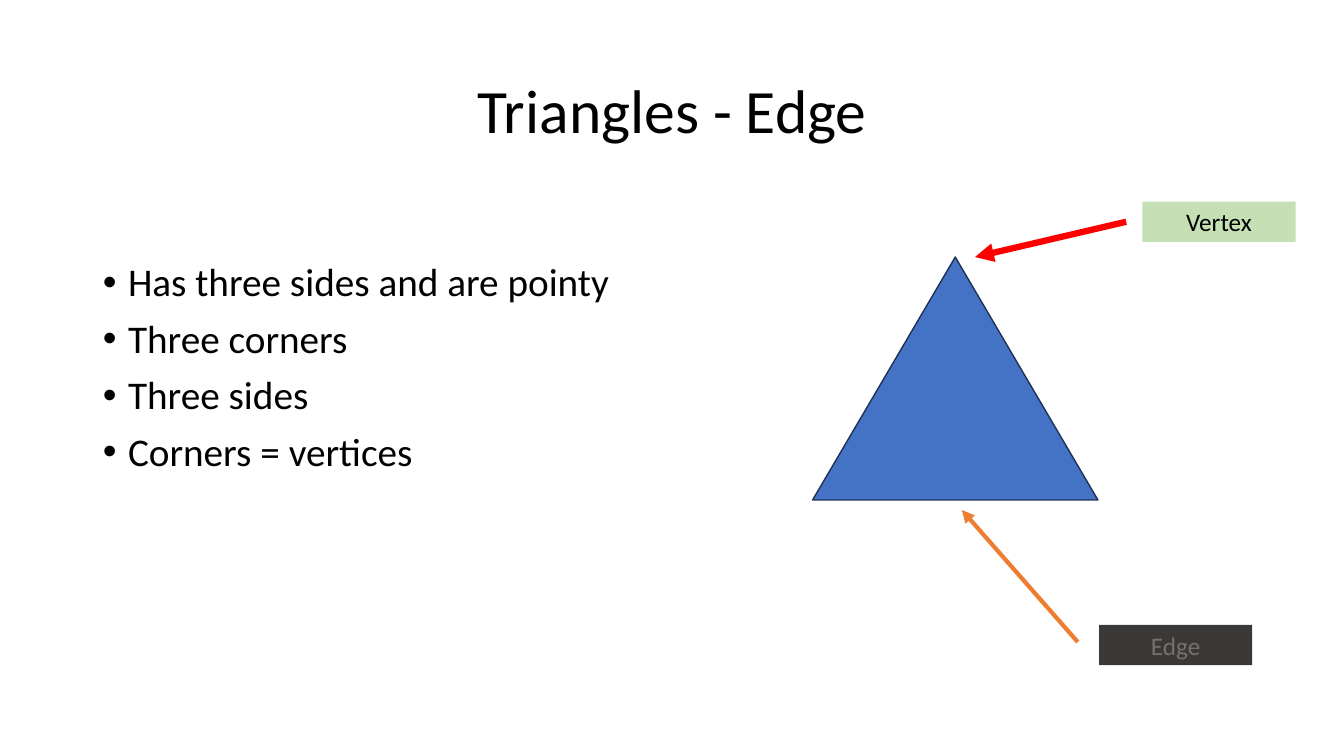
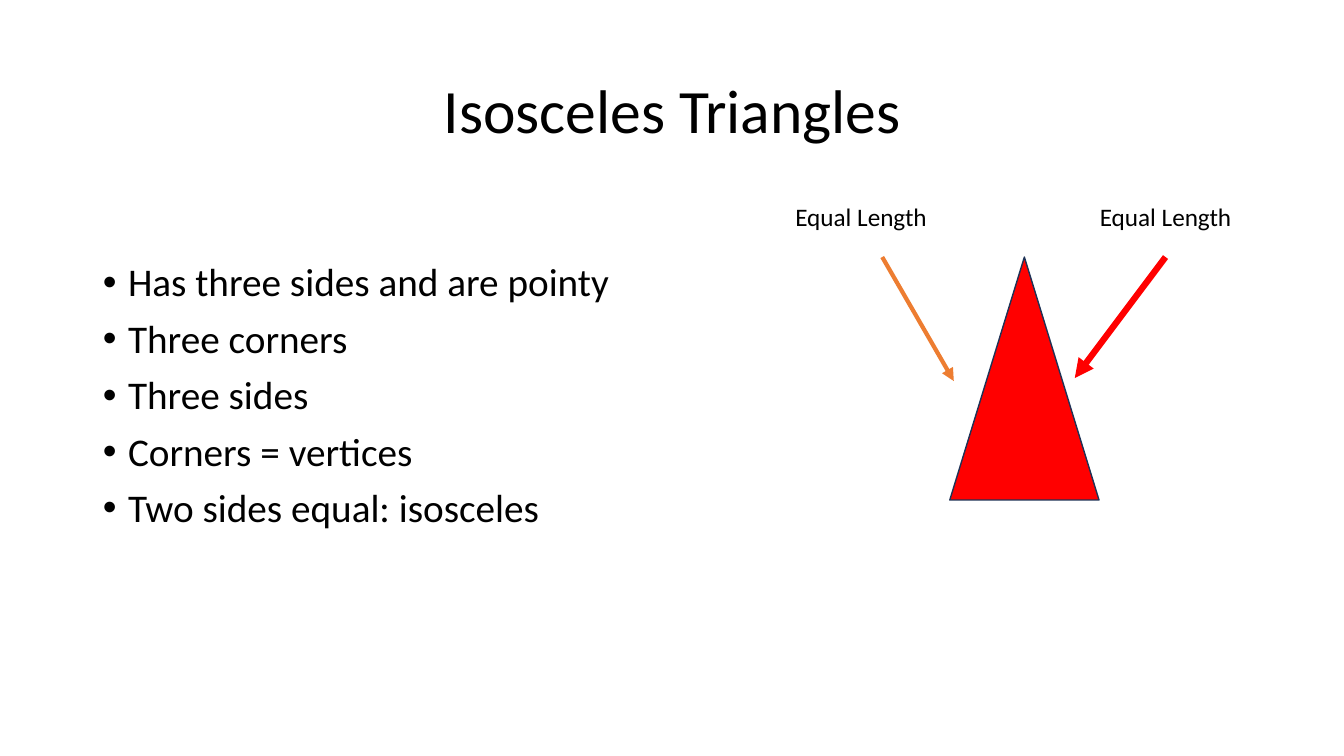
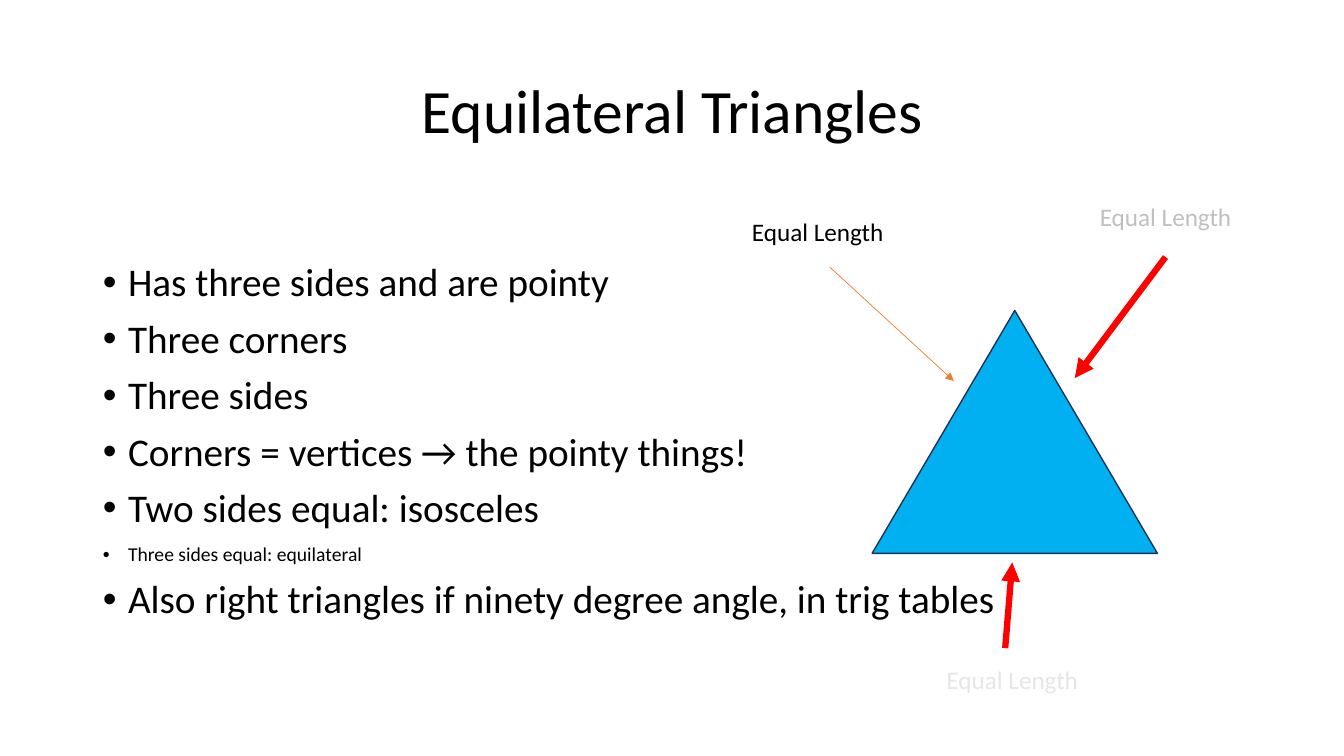
from collections import namedtuple
from dataclasses import dataclass

from lxml.etree import SubElement
from pptx import Presentation
from pptx.dml.color import RGBColor
from pptx.enum.shapes import MSO_CONNECTOR as Connector, MSO_SHAPE as Preset
from pptx.enum.text import MSO_ANCHOR as Anchor, MSO_AUTO_SIZE as AutoSize, PP_ALIGN as Align
from pptx.oxml.ns import qn
from pptx.util import Emu, Pt

PX = 9144  # EMU; 100 px make an inch

Box = namedtuple("Box", "left top width height")
Bullet = namedtuple("Bullet", "text size", defaults=[28])


@dataclass(frozen=True)
class Theme:
    font: str = "Calibri"
    black: str = "000000"
    red: str = "FF0000"
    orange: str = "ED7D31"
    blue: str = "4472C4"
    sky: str = "00B0F0"
    outline: str = "1E3256"
    green: str = "C5E0B4"
    charcoal: str = "3B3838"
    grey: str = "767171"
    silver: str = "C0C0C0"
    pale: str = "E7E6E6"
    title_size: int = 44
    label_size: int = 18
    small_size: int = 14


THEME = Theme()
SLIDE = Box(0, 0, 1333, 750)
TITLE = Box(92, 40, 1150, 145)
BODY = Box(92, 200, 1150, 476)
DIAGRAM = Box(735, 195, 550, 519)
LABEL_WIDTH, LABEL_HEIGHT = 152, 40
TRIANGLE_HEIGHT = 241
LIST_FORMAT = {"line_spacing": 0.9, "space_before": Pt(10), "space_after": Pt(0)}


@dataclass(frozen=True)
class Triangle:
    left: int
    top: int
    width: int
    fill: str

    def draw(self, page, box):
        shape = page.shapes.add_shape(
            Preset.ISOSCELES_TRIANGLE,
            *px(box.left + self.left, box.top + self.top, self.width, TRIANGLE_HEIGHT))
        shape.shadow.inherit = False
        paint(shape.fill, self.fill)
        paint(shape.line.fill, THEME.outline)
        shape.line.width = Pt(1)


@dataclass(frozen=True)
class Arrow:
    start: tuple
    end: tuple
    color: str = THEME.red
    weight: float = 4.5

    def draw(self, page, box):
        ends = [edge + offset for point in (self.start, self.end)
                for edge, offset in zip((box.left, box.top), point)]
        arrow = page.shapes.add_connector(Connector.STRAIGHT, *px(*ends))
        paint(arrow.line.fill, self.color)
        arrow.line.width = Pt(self.weight)
        properties = arrow._element.spPr
        SubElement(properties.find(qn("a:ln")), qn("a:tailEnd"), type="triangle")
        SubElement(properties, qn("a:effectLst"))


@dataclass(frozen=True)
class Label:
    text: str
    left: int
    top: int
    color: str = THEME.black
    fill: str = ""

    def draw(self, page, box):
        label = page.shapes.add_textbox(
            *px(box.left + self.left, box.top + self.top, LABEL_WIDTH, LABEL_HEIGHT))
        if self.fill:
            paint(label.fill, self.fill)
        frame = label.text_frame
        apply(frame, {"word_wrap": True, "auto_size": AutoSize.SHAPE_TO_FIT_TEXT,
                      "margin_left": 0, "margin_right": 0})
        write(frame.paragraphs[0], self.text, THEME.label_size, self.color,
              {"alignment": Align.CENTER})


def px(*lengths):
    return [Emu(length * PX) for length in lengths]


def apply(target, values):
    for name, value in values.items():
        setattr(target, name, value)


def paint(fill, color):
    fill.solid()
    fill.fore_color.rgb = RGBColor.from_string(color)


def write(para, text, size, color, para_format):
    apply(para, para_format)
    span = para.add_run()
    span.text = text
    apply(span.font, {"name": THEME.font, "size": Pt(size)})
    span.font.color.rgb = RGBColor.from_string(color)


def place(shape, box):
    apply(shape, dict(zip(Box._fields, px(*box))))


def fill_title(title, box, text):
    place(title, box)
    apply(title.text_frame, {"vertical_anchor": Anchor.MIDDLE, "auto_size": AutoSize.NONE})
    write(title.text_frame.paragraphs[0], text, THEME.title_size, THEME.black,
          {"alignment": Align.CENTER, "line_spacing": 0.9})


def fill_list(body, box, bullets):
    """Write the bullets one line below the top of the box."""
    place(body, box)
    frame = body.text_frame
    apply(frame, {"auto_size": AutoSize.NONE, "margin_top": Emu(61 * PX)})
    for index, bullet in enumerate(bullets):
        para = frame.add_paragraph() if index else frame.paragraphs[0]
        write(para, bullet.text, bullet.size, THEME.black, LIST_FORMAT)
        indents = para._p.get_or_add_pPr()
        indents.set("marL", str(25 * PX))
        indents.set("indent", str(-25 * PX))


def draw_diagram(page, box, parts):
    for part in parts:
        part.draw(page, box)


def add_lesson(deck, title, bullets, parts):
    page = deck.slides.add_slide(deck.slide_layouts[1])
    fill_title(page.shapes.title, TITLE, title)
    fill_list(page.placeholders[1], BODY, bullets)
    draw_diagram(page, DIAGRAM, parts)


BASICS = [Bullet("Has three sides and are pointy"), Bullet("Three corners"),
          Bullet("Three sides")]
CORNERS = Bullet("Corners = vertices")
ISOSCELES = Bullet("Two sides equal: isosceles")
EQUAL = "Equal Length"
RIGHT_ARROW = Arrow((421, 60), (331, 180))
LEFT_TARGET = (211, 183)

LESSONS = [
    ("Triangles - Edge", [*BASICS, CORNERS], [
        Triangle(71, 60, 283, THEME.blue),
        Arrow((334, 442), (219, 311), THEME.orange, 3),
        Label("Edge", 355, 425, THEME.grey, THEME.charcoal),
        Arrow((382, 25), (232, 60)),
        Label("Vertex", 398, 5, fill=THEME.green),
    ]),
    ("Isosceles Triangles", [*BASICS, CORNERS, ISOSCELES], [
        Triangle(207, 60, 148, THEME.red),
        RIGHT_ARROW,
        Label(EQUAL, 345, 0),
        Arrow((140, 60), LEFT_TARGET, THEME.orange, 3),
        Label(EQUAL, 43, 0),
    ]),
    ("Equilateral Triangles", [
        *BASICS,
        Bullet("Corners = vertices → the pointy things!"),
        ISOSCELES,
        Bullet("Three sides equal: equilateral", THEME.small_size),
        Bullet("Also right triangles if ninety degree angle, in trig tables"),
    ], [
        RIGHT_ARROW,
        Label(EQUAL, 345, 0, THEME.silver),
        Arrow((88, 70), LEFT_TARGET, THEME.orange, 0.5),
        Label(EQUAL, 0, 15),
        Triangle(130, 113, 283, THEME.sky),
        Arrow((262, 448), (269, 363)),
        Label(EQUAL, 193, 459, THEME.pale),
    ]),
]


def main():
    deck = Presentation()
    deck.slide_width, deck.slide_height = px(SLIDE.width, SLIDE.height)
    for lesson in LESSONS:
        add_lesson(deck, *lesson)
    deck.save("out.pptx")


if __name__ == "__main__":
    main()
